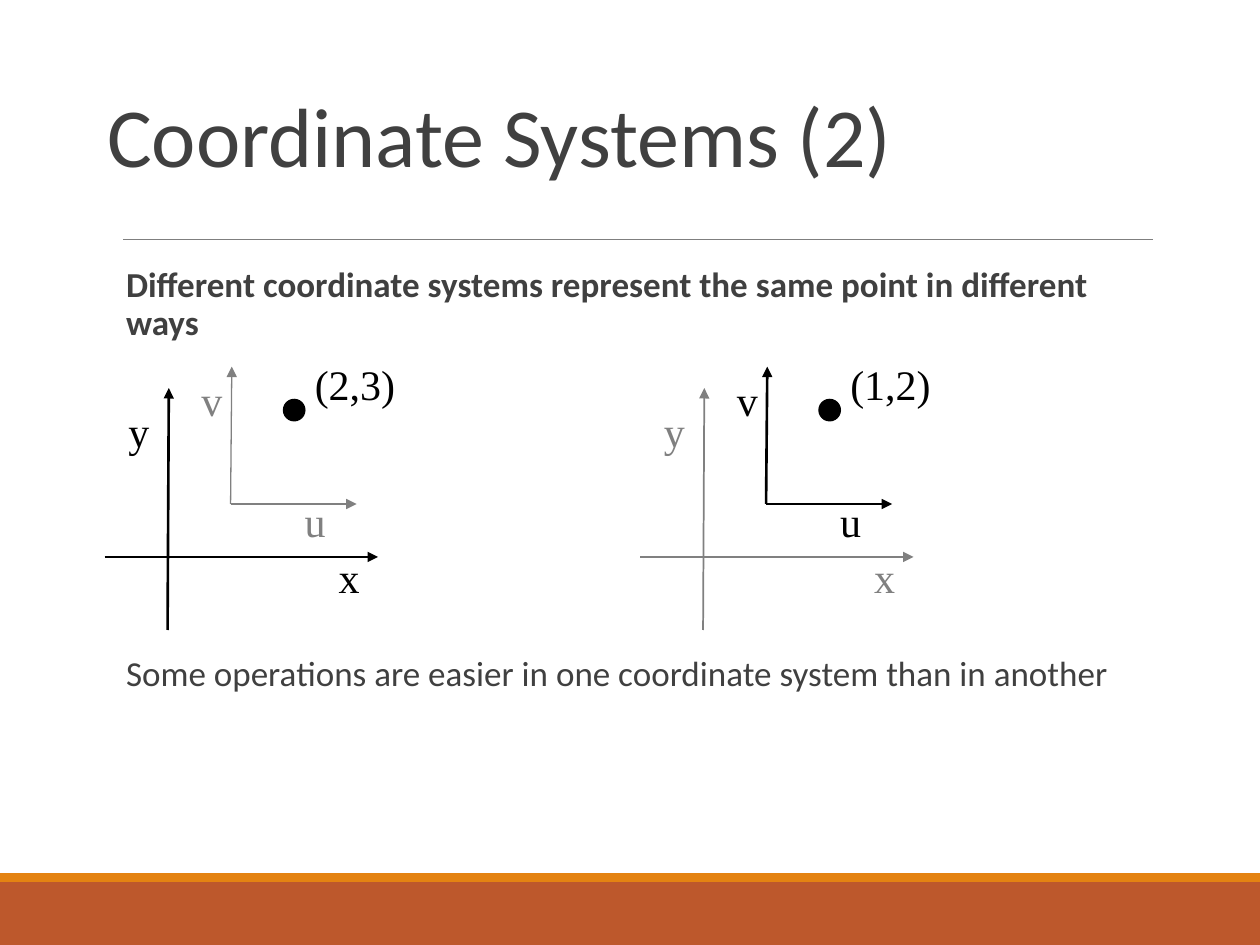
"""Build a slide that shows one point in two coordinate systems."""
from dataclasses import dataclass

import lxml.etree
import pptx
import pptx.dml.color
import pptx.enum.shapes
import pptx.enum.text
import pptx.oxml.ns
import pptx.util

Inches = pptx.util.Inches
Pt = pptx.util.Pt
SHAPES = pptx.enum.shapes.MSO_SHAPE
COLORS = {"rust": "BD582C", "gold": "E48312", "rule": "7F7F7F",
          "text": "404040", "black": "000000", "gray": "808080"}


@dataclass
class Arrow:
    start: tuple[float, float]
    end: tuple[float, float]


@dataclass
class Label:
    text: str
    left: float
    top: float
    width: float = 0.36


@dataclass
class Frame:
    arrows: list[Arrow]
    labels: list[Label]


@dataclass
class Graph:
    shift: float
    point: str
    inks: tuple[str, str]
    widths: tuple[float, float]


FRAMES = [
    Frame([Arrow((1.33, 5), (1.34, 3.08)), Arrow((0.83, 4.42), (3, 4.42))],
          [Label("x", 2.59, 4.33), Label("y", 0.92, 3.17)]),
    Frame([Arrow((1.83, 4), (1.84, 2.91)), Arrow((1.83, 4), (2.83, 4))],
          [Label("u", 2.32, 3.88), Label("v", 1.5, 2.92)]),
]
GRAPHS = [
    Graph(0, "(2,3)", ("black", "gray"), (1.5, 0.75)),
    Graph(4.25, "(1,2)", ("gray", "black"), (1, 1.5)),
]


def get_color(name: str) -> pptx.dml.color.RGBColor:
    return pptx.dml.color.RGBColor.from_string(COLORS[name])


def add_tag(parent, tag: str, **values: str):
    return lxml.etree.SubElement(parent, pptx.oxml.ns.qn(tag), values)


def style_run(run, font: str, size: float, color: str, bold: bool = False) -> None:
    run.font.name = font
    run.font.size = Pt(size)
    run.font.bold = bold
    run.font.color.rgb = get_color(color)


def draw_shape(slide, kind, box: tuple, color: str, edge: float = 0) -> None:
    shape = slide.shapes.add_shape(kind, *map(Inches, box))
    shape.shadow.inherit = False
    shape.fill.solid()
    shape.fill.fore_color.rgb = get_color(color)
    if edge:
        shape.line.color.rgb = get_color(color)
        shape.line.width = Pt(edge)
    else:
        shape.line.fill.background()


def draw_line(slide, arrow: Arrow, color: str, width: float,
              shift: float = 0, head: bool = True) -> None:
    (left, top), (right, base) = arrow.start, arrow.end
    line = slide.shapes.add_connector(
        pptx.enum.shapes.MSO_CONNECTOR.STRAIGHT,
        Inches(left + shift), Inches(top), Inches(right + shift), Inches(base))
    line.line.color.rgb = get_color(color)
    line.line.width = Pt(width)
    if head:
        add_tag(line.line._get_or_add_ln(), "a:tailEnd", type="triangle")
    add_tag(line._element.spPr, "a:effectLst")


def draw_label(slide, label: Label, color: str, shift: float) -> None:
    box = slide.shapes.add_textbox(Inches(label.left + shift), Inches(label.top),
                                   Inches(label.width), Inches(0.5))
    frame = box.text_frame
    frame.word_wrap = False
    frame.auto_size = pptx.enum.text.MSO_AUTO_SIZE.SHAPE_TO_FIT_TEXT
    frame.text = label.text
    style_run(frame.paragraphs[0].runs[0], "Times New Roman", 24, color)


def draw_graph(slide, graph: Graph) -> None:
    for frame, ink, width in zip(FRAMES, graph.inks, graph.widths):
        for arrow in frame.arrows:
            draw_line(slide, arrow, ink, width, graph.shift)
        for label in frame.labels:
            draw_label(slide, label, ink, graph.shift)
    draw_shape(slide, SHAPES.OVAL, (2.25 + graph.shift, 3.17, 0.17, 0.17), "black", 0.75)
    draw_label(slide, Label(graph.point, 2.4, 2.8, 0.84), "black", graph.shift)


def place(holder, left: float, top: float, width: float, height: float) -> None:
    holder.left, holder.top = Inches(left), Inches(top)
    holder.width, holder.height = Inches(width), Inches(height)
    holder.text_frame.auto_size = pptx.enum.text.MSO_AUTO_SIZE.NONE
    holder.text_frame.word_wrap = True


def fill_title(title) -> None:
    place(title, 0.75, 0.5, 8.5, 1.25)
    frame = title.text_frame
    frame.vertical_anchor = pptx.enum.text.MSO_ANCHOR.MIDDLE
    frame.text = "Coordinate Systems (2)"
    head = frame.paragraphs[0]
    head.alignment = pptx.enum.text.PP_ALIGN.LEFT
    head.line_spacing = 0.85
    style_run(head.runs[0], "Calibri", 48, "text")


def fill_body(body) -> None:
    place(body, 0.8, 2.07, 8.5, 4.33)
    frame = body.text_frame
    frame.text = ("Different coordinate systems represent the same point in different ways\n"
                  "Some operations are easier in one coordinate system than in another")
    for item, gap, bold in zip(frame.paragraphs, (0, 179), (True, False)):
        props = item._p.get_or_add_pPr()
        props.set("marL", str(Inches(0.1)))
        props.set("indent", str(-Inches(0.1)))
        add_tag(add_tag(props, "a:buClr"), "a:srgbClr", val=COLORS["gold"])
        add_tag(props, "a:buChar", char=" ")
        item.line_spacing = 0.9
        item.space_before = Pt(gap)
        style_run(item.runs[0], "Calibri", 20, "text", bold)


def main() -> None:
    deck = pptx.Presentation()
    deck.slide_width, deck.slide_height = Inches(10), Inches(7.5)
    slide = deck.slides.add_slide(deck.slide_layouts[1])
    draw_shape(slide, SHAPES.RECTANGLE, (0, 7, 10, 0.5), "rust")
    draw_shape(slide, SHAPES.RECTANGLE, (0, 6.93, 10, 0.07), "gold")
    draw_line(slide, Arrow((0.98, 1.9), (9.15, 1.9)), "rule", 0.5, head=False)
    fill_title(slide.shapes.title)
    fill_body(slide.placeholders[1])
    for graph in GRAPHS:
        draw_graph(slide, graph)
    deck.save("out.pptx")


if __name__ == "__main__":
    main()
